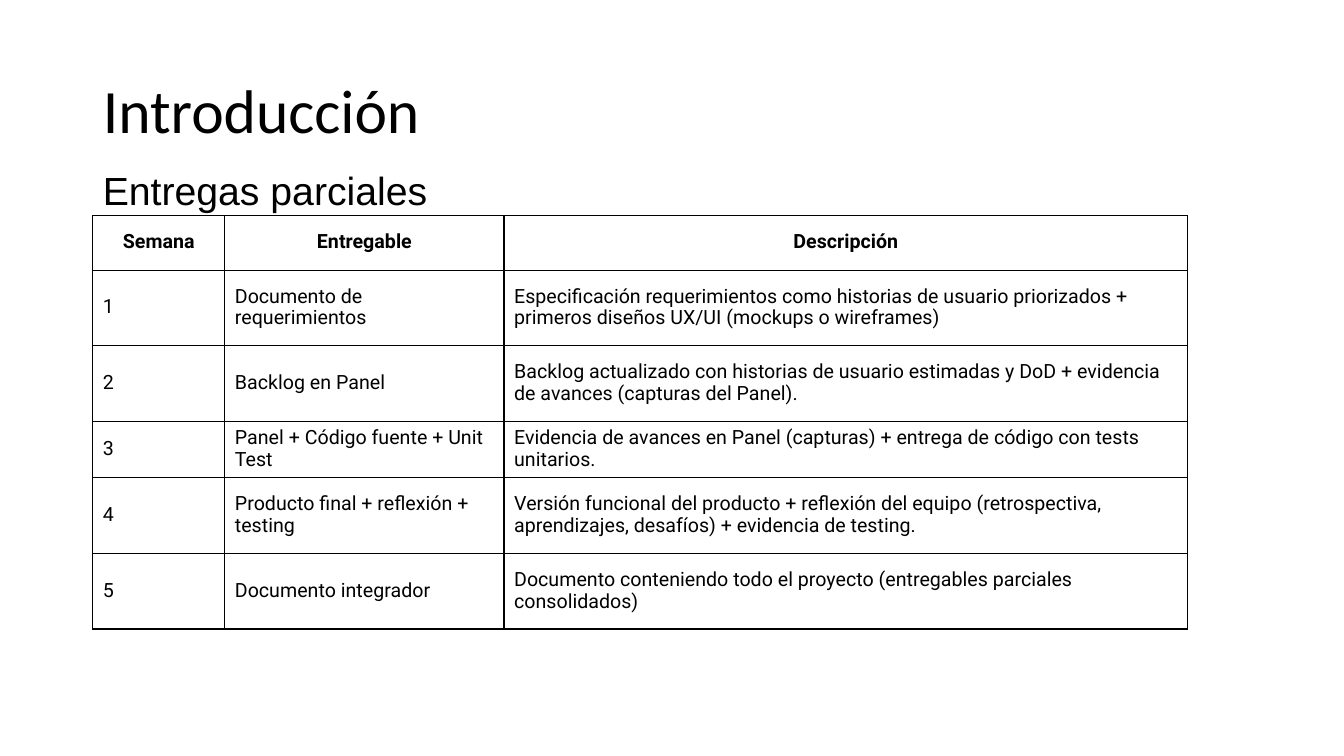
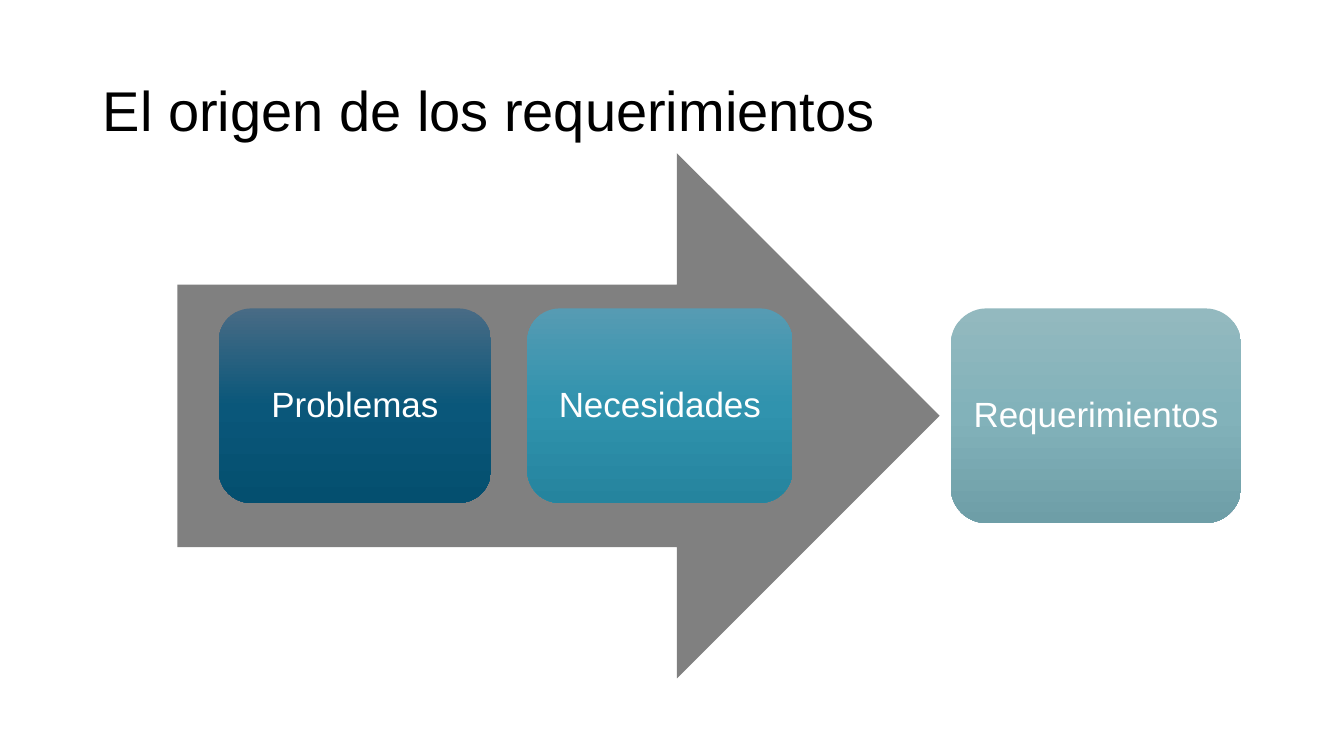
from copy import deepcopy

from lxml import etree
from pptx import Presentation
from pptx.dml.color import RGBColor
from pptx.enum.shapes import MSO_SHAPE
from pptx.enum.text import MSO_ANCHOR, MSO_AUTO_SIZE, PP_ALIGN
from pptx.oxml.ns import qn
from pptx.util import Inches, Pt

BLACK = RGBColor(0x00, 0x00, 0x00)
WHITE = RGBColor(0xFF, 0xFF, 0xFF)
ARROW_GRAY = RGBColor(0x80, 0x80, 0x80)
BLUE_STOPS = [RGBColor(0x48, 0x6B, 0x85), RGBColor(0x0A, 0x57, 0x7A), RGBColor(0x04, 0x4F, 0x6F)]
TEAL_STOPS = [RGBColor(0x56, 0x9B, 0xB3), RGBColor(0x30, 0x93, 0xAE), RGBColor(0x25, 0x84, 0x9E)]
PALE_STOPS = [RGBColor(0x93, 0xB9, 0xBF), RGBColor(0x82, 0xB2, 0xBA), RGBColor(0x6E, 0x9E, 0xA7)]

TITLE_AND_CONTENT, TITLE_ONLY = 1, 5
MARGIN, CONTENT_WIDTH = 0.92, 11.5

COLUMN_WIDTHS = [1.31, 2.77, 6.78]
ROW_HEIGHTS = [0.54, 0.75, 0.75, 0.56, 0.75, 0.75]
DELIVERIES = [
    ("Semana", "Entregable", "Descripción"),
    ("1", "Documento de requerimientos",
     "Especificación requerimientos como historias de usuario priorizados + "
     "primeros diseños UX/UI (mockups o wireframes)"),
    ("2", "Backlog en Panel",
     "Backlog actualizado con historias de usuario estimadas y DoD + evidencia "
     "de avances (capturas del Panel)."),
    ("3", "Panel + Código fuente + Unit Test",
     "Evidencia de avances en Panel (capturas) + entrega de código con tests unitarios."),
    ("4", "Producto final + reflexión + testing",
     "Versión funcional del producto + reflexión del equipo (retrospectiva, "
     "aprendizajes, desafíos) + evidencia de testing."),
    ("5", "Documento integrador",
     "Documento conteniendo todo el proyecto (entregables parciales consolidados)"),
]

# label, left, width, height, gradient colours
STAGES = [
    ("Problemas", 2.17, 2.7, 1.93, BLUE_STOPS),
    ("Necesidades", 5.23, 2.63, 1.93, TEAL_STOPS),
    ("Requerimientos", 9.43, 2.88, 2.13, PALE_STOPS),
]
STAGE_TOP = 3.06


def place(shape, left, top, width, height):
    shape.left, shape.top = Inches(left), Inches(top)
    shape.width, shape.height = Inches(width), Inches(height)


def format_paragraph(paragraph, font_name, size, color=BLACK, align=PP_ALIGN.LEFT,
                     line_spacing=0.9, before=0, after=0, bold=False):
    paragraph.alignment = align
    paragraph.line_spacing = line_spacing
    paragraph.space_before, paragraph.space_after = Pt(before), Pt(after)
    font = paragraph.font
    font.name, font.size, font.bold = font_name, Pt(size), bold
    font.color.rgb = color


def add_titled_slide(presentation, layout_index, title_text, font_name, size):
    slide = presentation.slides.add_slide(presentation.slide_layouts[layout_index])
    title = slide.shapes.title
    place(title, MARGIN, 0.4, CONTENT_WIDTH, 1.45)
    title.text_frame.text = title_text
    title.text_frame.vertical_anchor = MSO_ANCHOR.MIDDLE
    title.text_frame.auto_size = MSO_AUTO_SIZE.NONE
    format_paragraph(title.text_frame.paragraphs[0], font_name, size)
    return slide


def remove_bullet(paragraph):
    properties = paragraph._p.get_or_add_pPr()
    properties.set("marL", "0")
    properties.set("indent", "0")
    etree.SubElement(properties, qn("a:buNone"))


def border_cell(cell):
    """Draw a thin black line on all four sides of a cell."""
    properties = cell._tc.get_or_add_tcPr()
    for position, side in enumerate(("lnL", "lnR", "lnT", "lnB")):
        line = etree.Element(qn(f"a:{side}"), w=str(Pt(1)))
        fill = etree.SubElement(line, qn("a:solidFill"))
        etree.SubElement(fill, qn("a:srgbClr"), val=str(BLACK))
        properties.insert(position, line)


def add_delivery_table(slide):
    frame = slide.shapes.add_table(
        len(DELIVERIES), len(COLUMN_WIDTHS), Inches(MARGIN), Inches(2.14),
        Inches(sum(COLUMN_WIDTHS)), Inches(sum(ROW_HEIGHTS)))
    table = frame.table
    table.first_row = table.horz_banding = False
    for column, width in zip(table.columns, COLUMN_WIDTHS):
        column.width = Inches(width)
    for row_index, (row, height, texts) in enumerate(zip(table.rows, ROW_HEIGHTS, DELIVERIES)):
        row.height = Inches(height)
        is_header = row_index == 0
        for cell, label in zip(row.cells, texts):
            cell.text = label
            cell.vertical_anchor = MSO_ANCHOR.MIDDLE
            cell.fill.background()
            border_cell(cell)
            format_paragraph(
                cell.text_frame.paragraphs[0], "Roboto", 14, bold=is_header,
                align=PP_ALIGN.CENTER if is_header else PP_ALIGN.LEFT,
                line_spacing=Pt(15.6), after=8)


def add_plain_shape(slide, kind, left, top, width, height):
    shape = slide.shapes.add_shape(
        kind, Inches(left), Inches(top), Inches(width), Inches(height))
    shape.shadow.inherit = False
    shape.line.fill.background()
    return shape


def fill_downward_gradient(shape, colors):
    """Spread the colours evenly from top to bottom."""
    shape.fill.gradient()
    shape.fill.gradient_angle = 270
    stop_list = shape._element.spPr.find(f".//{qn('a:gsLst')}")
    while len(stop_list) < len(colors):
        stop_list.append(deepcopy(stop_list[0]))
    for index, (stop, color) in enumerate(zip(shape.fill.gradient_stops, colors)):
        stop.position = index / (len(colors) - 1)
        stop.color.rgb = color


def add_stage(slide, label, left, width, height, colors):
    stage = add_plain_shape(slide, MSO_SHAPE.ROUNDED_RECTANGLE, left, STAGE_TOP, width, height)
    fill_downward_gradient(stage, colors)
    frame = stage.text_frame
    frame.margin_left = frame.margin_right = Inches(0.05)
    frame.vertical_anchor = MSO_ANCHOR.MIDDLE
    frame.text = label
    format_paragraph(frame.paragraphs[0], "Arial", 25, WHITE, PP_ALIGN.CENTER)


def build_deliveries_slide(presentation):
    slide = add_titled_slide(presentation, TITLE_AND_CONTENT, "Introducción", "Calibri", 44)
    body = slide.placeholders[1]
    place(body, MARGIN, 1.37, CONTENT_WIDTH, 4.76)
    body.text_frame.text = "Entregas parciales"
    body.text_frame.auto_size = MSO_AUTO_SIZE.NONE
    subtitle = body.text_frame.paragraphs[0]
    format_paragraph(subtitle, "Arial", 28, line_spacing=1.5, before=10)
    remove_bullet(subtitle)
    add_delivery_table(slide)


def build_origin_slide(presentation):
    slide = add_titled_slide(
        presentation, TITLE_ONLY, "El origen de los requerimientos", "Arial", 40)
    arrow = add_plain_shape(slide, MSO_SHAPE.RIGHT_ARROW, 1.76, 1.52, 7.56, 5.21)
    arrow.fill.solid()
    arrow.fill.fore_color.rgb = ARROW_GRAY
    for stage in STAGES:
        add_stage(slide, *stage)


def main():
    presentation = Presentation()
    presentation.slide_width, presentation.slide_height = Inches(13.33), Inches(7.5)
    build_deliveries_slide(presentation)
    build_origin_slide(presentation)
    presentation.save("out.pptx")


if __name__ == "__main__":
    main()
